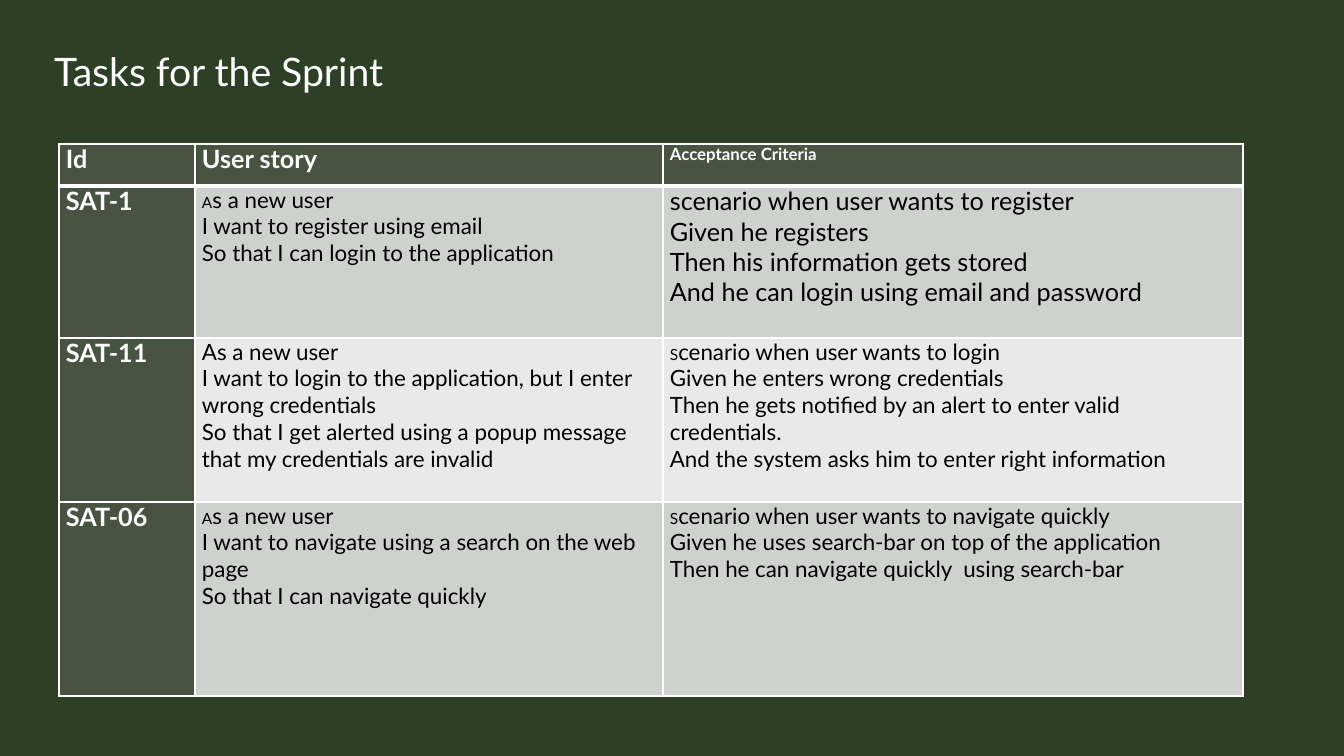
"""Build the slide that lists the tasks for the sprint."""
from dataclasses import dataclass

from lxml.etree import SubElement
from pptx import Presentation
from pptx.dml.color import RGBColor
from pptx.enum.text import MSO_ANCHOR, MSO_AUTO_SIZE, PP_ALIGN
from pptx.oxml.ns import qn
from pptx.util import Emu, Pt

COLORS = {
    "background": "2D3F25",
    "header": "485441",
    "band": "CFD1CF",
    "light": "E9E9E9",
    "white": "FFFFFF",
    "black": "000000",
}
FONT = "Lato"
INITIAL_SIZE = 11
COLUMNS = [136, 468, 580]
ROWS = [42, 152, 164, 194]


@dataclass(frozen=True)
class Cell:
    lines: tuple[str, ...]
    size: int = 16
    small_initial: bool = False


@dataclass(frozen=True)
class Task:
    key: str
    story: Cell
    criteria: Cell


HEADERS = [Cell(("Id",), 18), Cell(("User story",), 18), Cell(("Acceptance Criteria",), 12)]
TASKS = [
    Task(
        "SAT-1",
        Cell((
            "As a new user",
            "I want to register using email",
            "So that I can login to the application",
        ), small_initial=True),
        Cell((
            "scenario when user wants to register",
            "Given he registers",
            "Then his information gets stored",
            "And he can login using email and password",
        ), 18),
    ),
    Task(
        "SAT-11",
        Cell((
            "As a new user",
            "I want to login to the application, but I enter wrong credentials",
            "So that I get alerted using a popup message that my credentials are invalid",
        )),
        Cell((
            "Scenario when user wants to login",
            "Given he enters wrong credentials",
            "Then he gets notified by an alert to enter valid credentials.",
            "And the system asks him to enter right information",
        ), small_initial=True),
    ),
    Task(
        "SAT-06",
        Cell((
            "As a new user",
            "I want to navigate using a search on the web page",
            "So that I can navigate quickly",
        ), small_initial=True),
        Cell((
            "Scenario when user wants to navigate quickly",
            "Given he uses search-bar on top of the application",
            "Then he can navigate quickly  using search-bar",
        ), small_initial=True),
    ),
]


def px(n: int) -> Emu:
    return Emu(round(n * 914400 / 100.8))


def rgb(name: str) -> RGBColor:
    return RGBColor.from_string(COLORS[name])


def set_attrs(target, values: dict) -> None:
    for name, value in values.items():
        setattr(target, name, value)


def add_run(p, text: str, size: int, color: str, bold: bool = False) -> None:
    r = p.add_run()
    r.text = text
    set_attrs(r.font, {"name": FONT, "size": Pt(size), "bold": bold})
    r.font.color.rgb = rgb(color)


def add_border(cell, side: str, width: int) -> None:
    tc_pr = cell._tc.get_or_add_tcPr()
    ln = SubElement(tc_pr, qn(f"a:ln{side}"), w=str(Pt(width)))
    SubElement(SubElement(ln, qn("a:solidFill")), qn("a:srgbClr"), val=COLORS["white"])


def fill_cell(cell, content: Cell, row: int, col: int) -> None:
    heading = row == 0 or col == 0
    set_attrs(cell, {
        "margin_left": px(7),
        "margin_right": px(7),
        "margin_top": 0,
        "margin_bottom": 0,
        "vertical_anchor": MSO_ANCHOR.TOP,
    })
    widths = {"L": 1, "R": 1, "T": 3 if row == 1 else 1, "B": 3 if row == 0 else 1}
    for side, width in widths.items():
        add_border(cell, side, width)
    cell.fill.solid()
    cell.fill.fore_color.rgb = rgb("header" if heading else "band" if row % 2 else "light")

    tf = cell.text_frame
    color = "white" if heading else "black"
    for i, line in enumerate(content.lines):
        p = tf.add_paragraph() if i else tf.paragraphs[0]
        if i == 0 and content.small_initial:
            add_run(p, line[0], INITIAL_SIZE, color)
            line = line[1:]
        add_run(p, line, content.size, color, heading)


def add_title(s) -> None:
    sp = s.shapes.title
    set_attrs(sp, {"left": px(44), "top": px(42), "width": px(477), "height": px(57)})
    tf = sp.text_frame
    set_attrs(tf, {
        "word_wrap": True,
        "auto_size": MSO_AUTO_SIZE.NONE,
        "vertical_anchor": MSO_ANCHOR.MIDDLE,
    })
    p = tf.paragraphs[0]
    p.alignment = PP_ALIGN.LEFT
    add_run(p, "Tasks for the Sprint", 28, "white")


def add_task_table(s) -> None:
    grid = [HEADERS] + [[Cell((t.key,), 18), t.story, t.criteria] for t in TASKS]
    table = s.shapes.add_table(
        len(ROWS), len(COLUMNS), px(59), px(144), px(sum(COLUMNS)), px(sum(ROWS))
    ).table
    set_attrs(table, {"first_row": False, "horz_banding": False})
    for column, width in zip(table.columns, COLUMNS):
        column.width = px(width)
    for row, height in zip(table.rows, ROWS):
        row.height = px(height)
    for i, contents in enumerate(grid):
        for j, content in enumerate(contents):
            fill_cell(table.cell(i, j), content, i, j)


def main() -> None:
    prs = Presentation()
    set_attrs(prs, {"slide_width": px(1344), "slide_height": px(756)})
    s = prs.slides.add_slide(prs.slide_layouts[5])
    s.background.fill.solid()
    s.background.fill.fore_color.rgb = rgb("background")
    add_title(s)
    add_task_table(s)
    prs.save("out.pptx")


if __name__ == "__main__":
    main()
